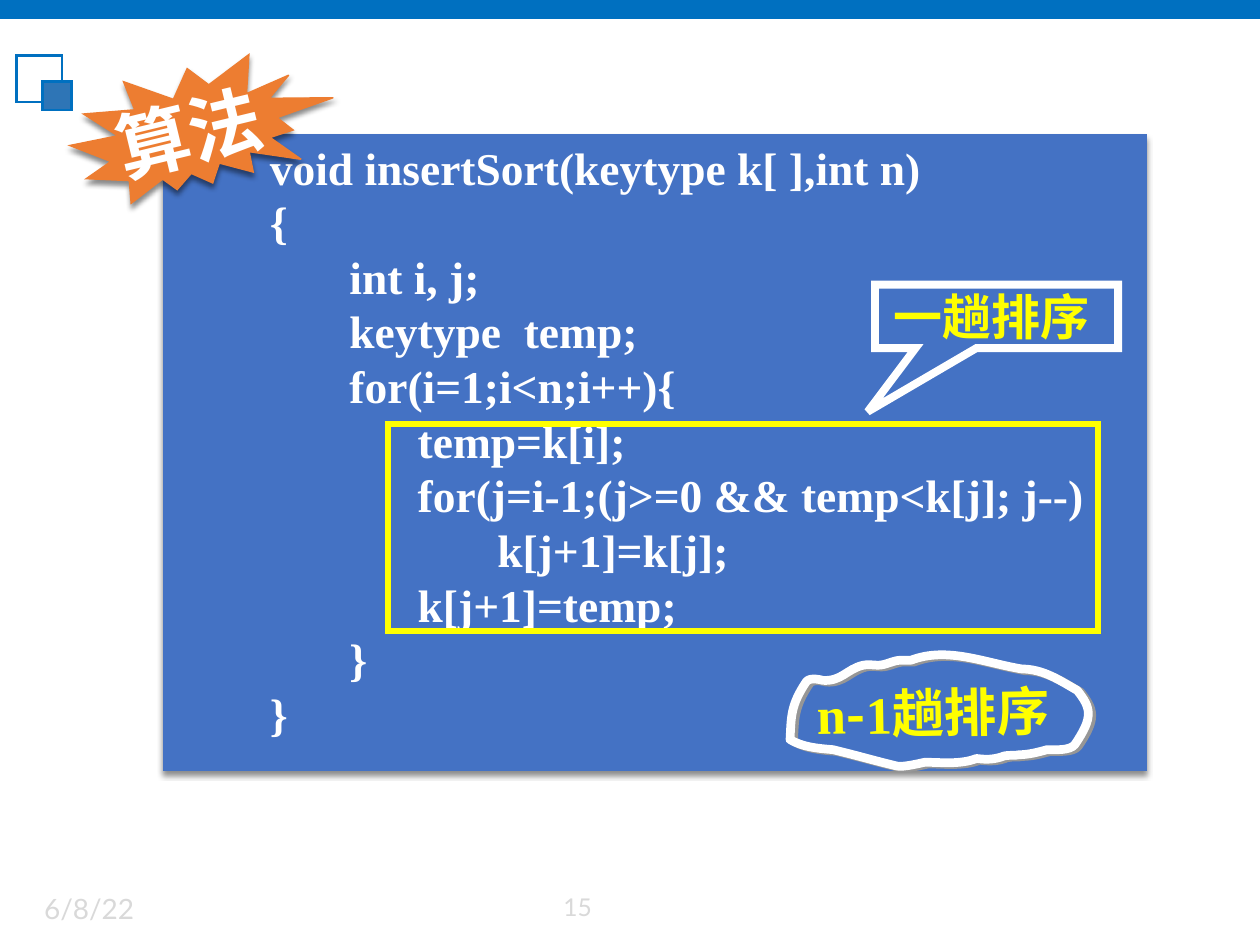
from dataclasses import dataclass
from typing import Optional

from lxml import etree
from pptx import Presentation
from pptx import util as u
from pptx.dml.color import RGBColor
from pptx.enum import shapes, text
from pptx.oxml import ns

Cm, Pt = u.Cm, u.Pt
Kind = shapes.MSO_SHAPE

BAR_BLUE = RGBColor(0x00, 0x70, 0xC0)
MARK_BLUE = RGBColor(0x2E, 0x75, 0xB6)
PANEL_BLUE = RGBColor(0x44, 0x72, 0xC4)
ORANGE = RGBColor(0xED, 0x7D, 0x31)
YELLOW = RGBColor(0xFF, 0xFF, 0x00)
WHITE = RGBColor(0xFF, 0xFF, 0xFF)
FOOTER_GREY = RGBColor(0xD9, 0xD9, 0xD9)
SHADOW_BLACK = RGBColor(0, 0, 0)
SHADOW_GREY = RGBColor(0x96, 0x96, 0x96)

SERIF, CJK, FOOTER = "Times New Roman", "Noto Sans CJK SC", "Lato"


@dataclass(frozen=True)
class Box:
    """Position and size in centimetres, rotation in degrees."""
    x: float
    y: float
    w: float
    h: float
    rot: float = 0

    def emu(self) -> tuple:
        return Cm(self.x), Cm(self.y), Cm(self.w), Cm(self.h)


@dataclass(frozen=True)
class Shadow:
    color: RGBColor
    alpha: int
    blur: float
    dist: float
    angle: int


@dataclass(frozen=True)
class CodeLine:
    words: str
    spaces: int = 0


SOFT = Shadow(SHADOW_BLACK, 45, 3, 2.4, 90)
HARD = Shadow(SHADOW_GREY, 100, 0, 2.2, 27)

CODE_SIZE = 26
CODE = [
    CodeLine("void insertSort(keytype k[ ],int n)"),
    CodeLine("{"),
    CodeLine("int i, j;", 7),
    CodeLine("keytype  temp;", 7),
    CodeLine("for(i=1;i<n;i++){", 7),
    CodeLine("temp=k[i];", 13),
    CodeLine("for(j=i-1;(j>=0 && temp<k[j]; j--)", 13),
    CodeLine("k[j+1]=k[j];", 20),
    CodeLine("k[j+1]=temp;", 13),
    CodeLine("}", 7),
    CodeLine("}"),
]

# Bezier outline in hundredths of an inch: two control points and an end per row
CLOUD_UNIT = Cm(0.0254)
CLOUD_START = (653, 540)
CLOUD = [
    (668, 541, 672, 531, 685, 528), (689, 527, 693, 528, 697, 528),
    (703, 528, 709, 524, 715, 524), (717, 524, 720, 524, 723, 524),
    (752, 513, 781, 526, 811, 531), (828, 531, 841, 540, 855, 548),
    (866, 562, 868, 569, 853, 591), (849, 596, 837, 595, 831, 595),
    (824, 597, 816, 599, 809, 599), (805, 600, 801, 599, 797, 600),
    (789, 603, 783, 603, 775, 602), (762, 607, 747, 605, 734, 605),
    (729, 606, 717, 609, 712, 608), (695, 604, 678, 599, 661, 595),
    (649, 594, 637, 593, 627, 587), (628, 570, 627, 560, 640, 541),
    (643, 537, 653, 540, 653, 540),
]


def add_shadow(s, shadow: Shadow) -> None:
    effects = s._element.spPr.find(ns.qn("a:effectLst"))
    outer = etree.SubElement(
        effects, ns.qn("a:outerShdw"), blurRad=str(Pt(shadow.blur)),
        dist=str(Pt(shadow.dist)), dir=str(shadow.angle * 60000), rotWithShape="0")
    color = etree.SubElement(outer, ns.qn("a:srgbClr"), val=str(shadow.color))
    etree.SubElement(color, ns.qn("a:alpha"), val=str(shadow.alpha * 1000))


def style(s, fill: Optional[RGBColor] = None, line: Optional[RGBColor] = None,
          width: float = 0.79, shadow: Optional[Shadow] = None,
          sharp: bool = True) -> None:
    s.shadow.inherit = False
    if fill is None:
        s.fill.background()
    else:
        s.fill.solid()
        s.fill.fore_color.rgb = fill
    if line is None:
        s.line.fill.background()
    else:
        s.line.color.rgb = line
        s.line.width = Pt(width)
        if sharp:
            ln = s._element.spPr.find(ns.qn("a:ln"))
            etree.SubElement(ln, ns.qn("a:miter"), lim="800000")
    if shadow:
        add_shadow(s, shadow)


def add_shape(slide, kind, box: Box, **look):
    s = slide.shapes.add_shape(kind, *box.emu())
    s.rotation = box.rot
    style(s, **look)
    return s


def add_run(p, words: str, *, size: float, color: RGBColor,
            font: str = SERIF, bold: bool = True) -> None:
    r = p.add_run()
    r.text = words
    r.font.size, r.font.bold, r.font.name = Pt(size), bold, font
    r.font.color.rgb = color
    etree.SubElement(r._r.get_or_add_rPr(), ns.qn("a:ea"), typeface=CJK)


def add_text(slide, box: Box, words: str = "", **fmt):
    sp = slide.shapes.add_textbox(*box.emu())
    sp.rotation = box.rot
    tf = sp.text_frame
    tf.word_wrap = True
    tf.vertical_anchor = text.MSO_ANCHOR.MIDDLE
    if words:
        add_run(tf.paragraphs[0], words, **fmt)
    return tf


def add_code(slide, box: Box) -> None:
    tf = add_text(slide, box)
    tf.vertical_anchor = text.MSO_ANCHOR.TOP
    for i, line in enumerate(CODE):
        p = tf.add_paragraph() if i else tf.paragraphs[0]
        p.line_spacing = Pt(31.2)
        # a space is a quarter of the type size wide
        p._p.get_or_add_pPr().set("marL", str(Pt(line.spaces * CODE_SIZE / 4)))
        add_run(p, line.words, size=CODE_SIZE, color=WHITE)


def add_cloud(slide) -> None:
    """Build the outline through the curve ends, then bend each segment."""
    builder = slide.shapes.build_freeform(*CLOUD_START, scale=CLOUD_UNIT)
    builder.add_line_segments([row[4:] for row in CLOUD], close=True)
    s = builder.convert_to_shape()
    left = min(row[4] for row in CLOUD)
    top = min(row[5] for row in CLOUD)
    segments = list(s._element.iter(ns.qn("a:lnTo")))
    for segment, row in zip(segments, CLOUD):
        curve = etree.Element(ns.qn("a:cubicBezTo"))
        for x, y in zip(row[::2], row[1::2]):
            etree.SubElement(curve, ns.qn("a:pt"), x=str(x - left), y=str(y - top))
        segment.getparent().replace(segment, curve)
    style(s, line=WHITE, width=5, shadow=HARD, sharp=False)


def main() -> None:
    prs = Presentation()
    prs.slide_width, prs.slide_height = Cm(25.4), Cm(19.05)
    slide = prs.slides.add_slide(prs.slide_layouts[6])

    add_shape(slide, Kind.RECTANGLE, Box(0, 0, 25.4, 0.38), fill=BAR_BLUE)
    add_shape(slide, Kind.RECTANGLE, Box(0.33, 1.12, 0.92, 0.94),
              line=BAR_BLUE, width=1.5)
    add_shape(slide, Kind.RECTANGLE, Box(0.86, 1.64, 0.58, 0.58),
              fill=MARK_BLUE, line=BAR_BLUE, width=1.5)
    footer = dict(font=FOOTER, color=FOOTER_GREY, bold=False)
    add_text(slide, Box(0.64, 17.8, 4.67, 1.02), "6/8/22", size=16, **footer)
    add_text(slide, Box(11.11, 17.8, 1.57, 0.97), "15", size=14, **footer)

    add_shape(slide, Kind.RECTANGLE, Box(3.3, 2.72, 19.81, 12.81),
              fill=PANEL_BLUE, line=PANEL_BLUE, shadow=SOFT)
    add_code(slide, Box(5.19, 2.69, 16.94, 12.47))

    add_shape(slide, Kind.EXPLOSION2, Box(1.4, 1.12, 5.33, 2.95, -1.2),
              fill=ORANGE, line=ORANGE, shadow=SOFT)
    add_text(slide, Box(2.06, 1.47, 4.88, 2.03, -13.6), "算法", size=42, color=WHITE)

    add_shape(slide, Kind.RECTANGLE, Box(7.83, 8.54, 14.3, 4.19),
              line=YELLOW, width=3.5)
    callout = add_shape(slide, Kind.RECTANGULAR_CALLOUT, Box(17.64, 5.74, 4.9, 1.28),
                        line=WHITE, width=4.5)
    callout.adjustments[0], callout.adjustments[1] = -0.53, 1.5
    add_text(slide, Box(17.77, 5.64, 5.18, 1.45), "一趟排序", size=28, color=YELLOW)

    tf = add_text(slide, Box(16.22, 13.58, 6.4, 1.52, -1))
    for words, font in (("n", SERIF), ("-", CJK), ("1", SERIF), ("趟排序", "DejaVu Sans")):
        add_run(tf.paragraphs[0], words, size=30, color=YELLOW, font=font)
    add_cloud(slide)

    prs.save("out.pptx")


if __name__ == "__main__":
    main()
